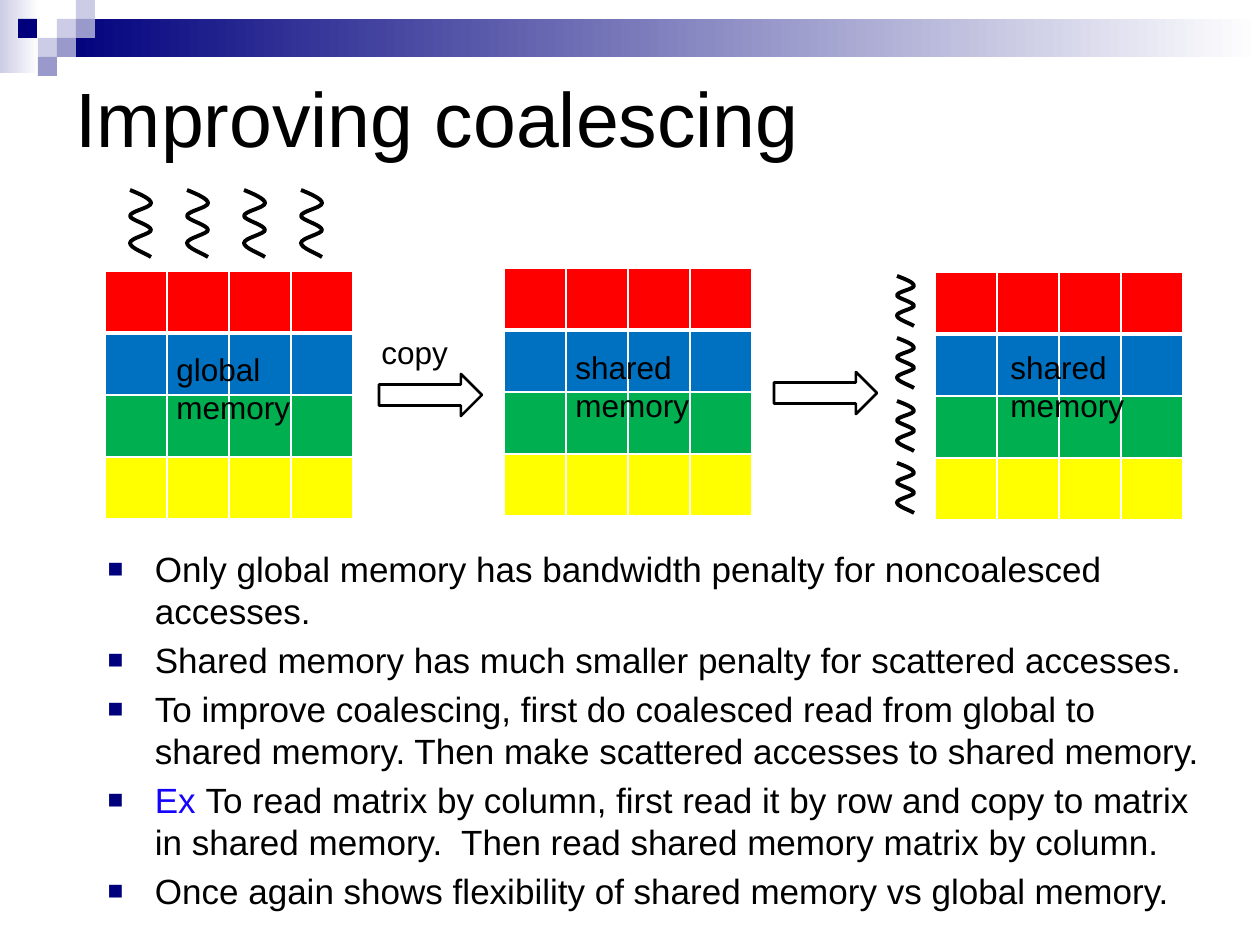
from lxml import etree
from pptx import Presentation
from pptx import util as u
from pptx.dml import color
from pptx.enum import shapes, text
from pptx.oxml import ns

PX = 914400 / 126
BLACK, WHITE, NAVY, LAVENDER, LILAC = "000000", "FFFFFF", "00007D", "CCCCE6", "9999CC"


def rgb(value):
    return color.RGBColor.from_string(value)


def add_run(paragraph, words, size, value=BLACK):
    run = paragraph.add_run()
    run.text = words
    run.font.name = "Arial"
    run.font.size = u.Pt(size)
    run.font.color.rgb = rgb(value)


presentation = Presentation()
presentation.slide_width = u.Inches(10)
presentation.slide_height = u.Inches(7.5)
slide = presentation.slides.add_slide(presentation.slide_layouts[1])

banner = [
    (0, 0, 39, 73, [LAVENDER, WHITE]),
    (57, 19, 1203, 38, [NAVY, WHITE]),
    (57, 19, 19, 19, [LAVENDER]),
    (76, 0, 19, 19, [LAVENDER]),
    (76, 19, 19, 19, [LILAC]),
    (38, 38, 19, 19, [LAVENDER]),
    (18, 19, 19, 19, [NAVY]),
    (57, 38, 19, 19, [LILAC]),
    (38, 57, 19, 19, [LILAC]),
]
for left, top, width, height, colours in banner:
    shape = slide.shapes.add_shape(
        shapes.MSO_SHAPE.RECTANGLE, *[round(n * PX) for n in (left, top, width, height)])
    shape.shadow.inherit = False
    shape.line.fill.background()
    if len(colours) == 2:
        shape.fill.gradient()
        shape.fill.gradient_angle = 0
        for stop, value in zip(shape.fill.gradient_stops, colours):
            stop.color.rgb = rgb(value)
    else:
        shape.fill.solid()
        shape.fill.fore_color.rgb = rgb(colours[0])

title, body = slide.placeholders
for placeholder, box in ((title, (63, 63, 1134, 108)), (body, (95, 541, 1128, 384))):
    placeholder.left, placeholder.top, placeholder.width, placeholder.height = [
        round(n * PX) for n in box]
    placeholder.text_frame.auto_size = text.MSO_AUTO_SIZE.NONE
    placeholder.text_frame.word_wrap = True
title.text_frame.vertical_anchor = text.MSO_ANCHOR.MIDDLE
title.text_frame.paragraphs[0].alignment = text.PP_ALIGN.LEFT
add_run(title.text_frame.paragraphs[0], "Improving coalescing", 44)

bullets = [
    [("Only global memory has bandwidth penalty for noncoalesced accesses.", BLACK)],
    [("Shared memory has much smaller penalty for scattered accesses.", BLACK)],
    [("To improve coalescing, first do coalesced read from global to shared memory. "
      "Then make scattered accesses to shared memory.", BLACK)],
    [("Ex ", "1503FB"),
     ("To read matrix by column, first read it by row and copy to matrix in shared memory.  "
      "Then read shared memory matrix by column.", BLACK)],
    [("Once again shows flexibility of shared memory vs global memory.", BLACK)],
]
for index, runs in enumerate(bullets):
    frame = body.text_frame
    paragraph = frame.add_paragraph() if index else frame.paragraphs[0]
    for words, value in runs:
        add_run(paragraph, words, 20, value)
    properties = paragraph._p.get_or_add_pPr()
    bullet_colour = etree.SubElement(properties, ns.qn("a:buClr"))
    etree.SubElement(bullet_colour, ns.qn("a:srgbClr"), val=NAVY)
    etree.SubElement(properties, ns.qn("a:buSzPct"), val="75000")
    etree.SubElement(properties, ns.qn("a:buFont"), typeface="Arial")
    etree.SubElement(properties, ns.qn("a:buChar"), char="■")

CELL = 62
row_colours = ["FF0000", "0070C0", "00B050", "FFFF00"]
for left, top in ((105, 271), (504, 268), (935, 272)):
    frame = slide.shapes.add_table(
        4, 4, *[round(n * PX) for n in (left, top, 4 * CELL, 4 * CELL)])
    for row, value in enumerate(row_colours):
        for column in range(4):
            cell = frame.table.cell(row, column)
            properties = cell._tc.get_or_add_tcPr()
            for side in ("lnL", "lnR", "lnT", "lnB"):
                thick = (row, side) in ((0, "lnB"), (1, "lnT"))
                border = etree.SubElement(
                    properties, ns.qn("a:" + side), w=str(u.Pt(3 if thick else 1)))
                border_fill = etree.SubElement(border, ns.qn("a:solidFill"))
                etree.SubElement(border_fill, ns.qn("a:srgbClr"), val=WHITE)
            cell.fill.solid()
            cell.fill.fore_color.rgb = rgb(value)

wave = [(10, 4), (21, 9), (21, 13), (21, 18), (0, 21), (0, 26), (0, 30), (21, 35),
        (21, 40), (21, 44), (0, 48), (0, 53), (0, 58), (15, 63), (21, 67)]
across = [(130 + 57 * n, 190) for n in range(4)]
down = [(897, 276 + 125 * n // 2) for n in range(4)]
for starts, width, height in ((across, 21, 67), (down, 17, 50)):
    group = slide.shapes.add_group_shape()
    for left, top in starts:
        builder = group.shapes.build_freeform(0, 0, scale=(PX * width / 21, PX * height / 67))
        builder.add_line_segments(wave, close=False)
        thread = builder.convert_to_shape(round(left * PX), round(top * PX))
        thread.shadow.inherit = False
        thread.fill.background()
        thread.line.color.rgb = rgb(BLACK)
        thread.line.width = u.Pt(2.25)
        segments = list(thread._element.iter(ns.qn("a:lnTo")))
        for first in range(0, len(segments), 3):
            curve = etree.SubElement(segments[first].getparent(), ns.qn("a:cubicBezTo"))
            for segment in segments[first:first + 3]:
                curve.append(segment[0])
                segment.getparent().remove(segment)

for left, top in ((379, 374), (774, 372)):
    arrow = slide.shapes.add_shape(
        shapes.MSO_SHAPE.RIGHT_ARROW, *[round(n * PX) for n in (left, top, 103, 42)])
    arrow.shadow.inherit = False
    arrow.fill.background()
    arrow.line.color.rgb = rgb(BLACK)
    arrow.line.width = u.Pt(1.5)

labels = [
    ("global memory", 164, 344, 181, 97),
    ("copy", 369, 327, 155, 55),
    ("shared memory", 563, 342, 181, 97),
    ("shared memory", 998, 342, 181, 97),
]
for words, *box in labels:
    label = slide.shapes.add_textbox(*[round(n * PX) for n in box])
    label.text_frame.word_wrap = True
    label.text_frame.auto_size = text.MSO_AUTO_SIZE.SHAPE_TO_FIT_TEXT
    add_run(label.text_frame.paragraphs[0], words, 18)

presentation.save("out.pptx")
